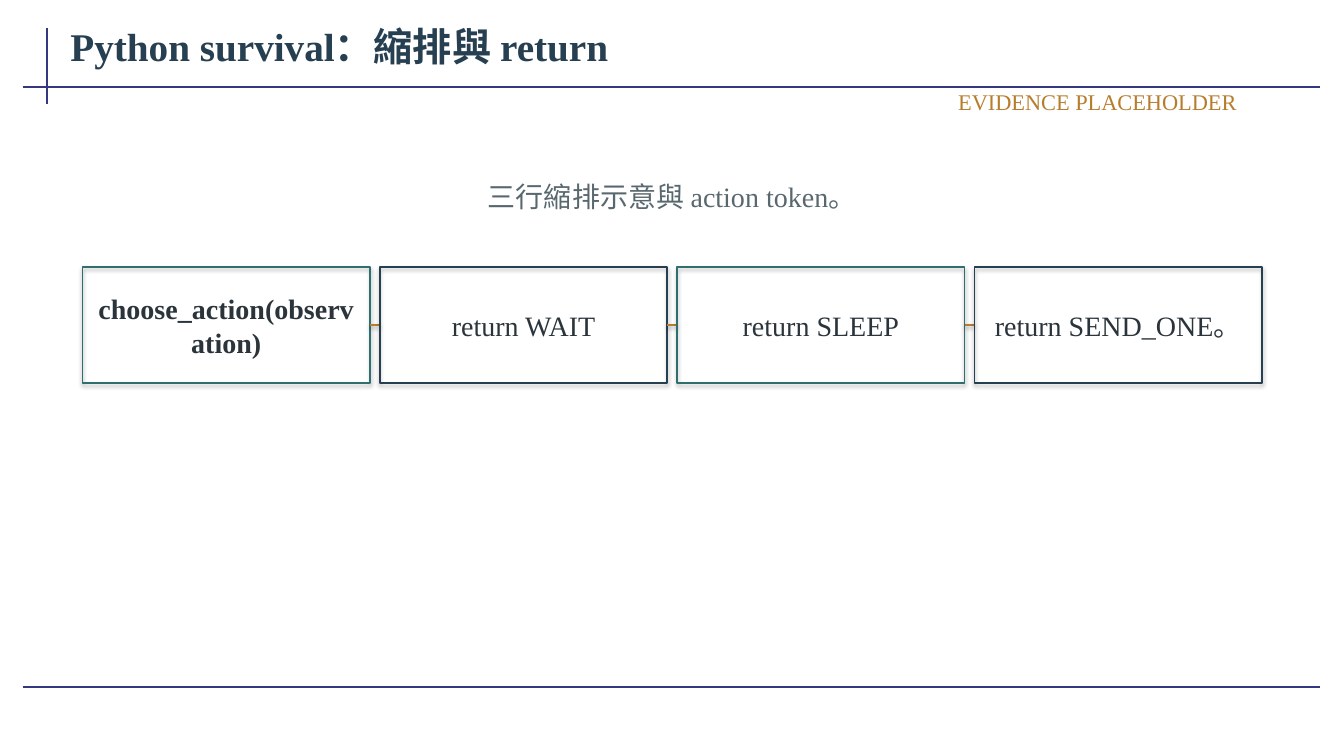
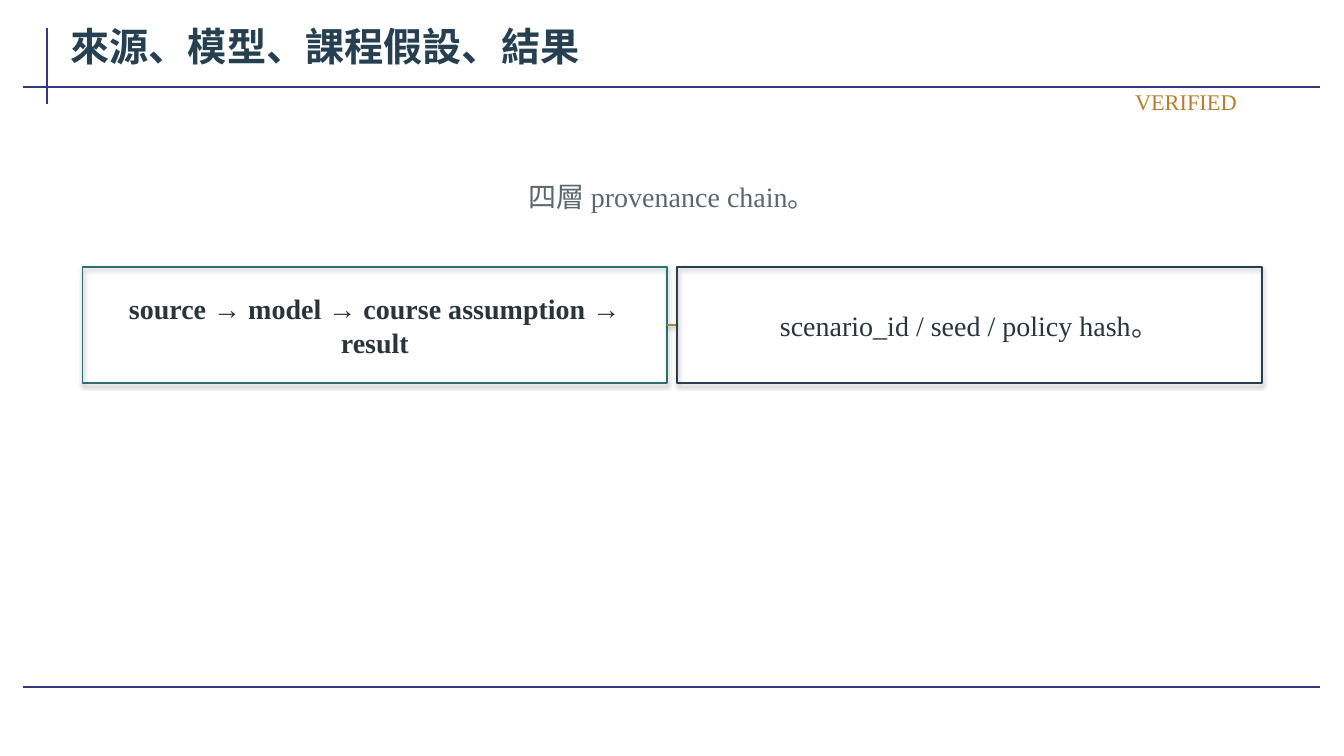
"""Build two course slides, each a titled chain of linked boxes."""
from pptx import Presentation
from pptx.dml.color import RGBColor
from pptx.enum.shapes import MSO_CONNECTOR, MSO_SHAPE
from pptx.enum.text import MSO_ANCHOR, MSO_AUTO_SIZE, PP_ALIGN
from pptx.oxml.ns import qn
from pptx.util import Pt

RULE, NAVY, TEAL, AMBER = "35377F", "263F51", "2F6F70", "B77D2D"
INK, SLATE = "2A343A", "59686F"
CHAIN_LEFT, CHAIN_TOP, CHAIN_WIDTH, BOX_HEIGHT, GAP = 59, 190.8, 842.4, 82.8, 7.2
RULES = [(33.8, 20.2, 33.8, 74.2), (16.6, 61.9, 943.2, 61.9), (16.6, 491, 943.2, 491)]
SLIDES = [
    ("Python survival：縮排與 return", "EVIDENCE PLACEHOLDER", "三行縮排示意與 action token。",
     ["choose_action(observation)", "return WAIT", "return SLEEP", "return SEND_ONE。"]),
    ("來源、模型、課程假設、結果", "VERIFIED", "四層 provenance chain。",
     ["source → model → course assumption → result", "scenario_id / seed / policy hash。"]),
]


def color(value):
    return RGBColor.from_string(value)


def write(shape, text, size=20, ink=INK, bold=False, align=PP_ALIGN.CENTER,
          fit=MSO_AUTO_SIZE.SHAPE_TO_FIT_TEXT):
    frame = shape.text_frame
    frame.word_wrap = True
    frame.auto_size = fit
    frame.vertical_anchor = MSO_ANCHOR.MIDDLE
    frame.margin_left = frame.margin_right = Pt(5.76)
    frame.margin_top = frame.margin_bottom = Pt(2.88)
    para = frame.paragraphs[0]
    para.alignment = align
    span = para.add_run()
    span.text = text
    span.font.name = "Times New Roman"
    span.font.size = Pt(size)
    span.font.bold = bold
    span.font.color.rgb = color(ink)


deck = Presentation()
deck.slide_width, deck.slide_height = Pt(960), Pt(540)
layout = deck.slide_layouts.get_by_name("Title Only")
pages = [deck.slides.add_slide(layout) for _ in SLIDES]

for ends in RULES:
    rule = pages[0].shapes.add_connector(MSO_CONNECTOR.STRAIGHT, *map(Pt, ends))
    rule.line.color.rgb = color(RULE)
    rule.line.width = Pt(1.5)
    rule.element.spPr.append(rule.element.makeelement(qn("a:effectLst"), {}))
    layout.element.cSld.spTree.append(rule.element)

for page, (heading, status, summary, steps) in zip(pages, SLIDES):
    title = page.shapes.title
    title.left, title.top, title.width, title.height = map(Pt, (44.6, 10.8, 899.3, 44.6))
    write(title, heading, size=28, ink=NAVY, bold=True, align=PP_ALIGN.LEFT,
          fit=MSO_AUTO_SIZE.NONE)

    pitch = (CHAIN_WIDTH + GAP) / len(steps)
    width = pitch - GAP
    middle = CHAIN_TOP + BOX_HEIGHT / 2
    for index, step in enumerate(steps):
        left = CHAIN_LEFT + index * pitch
        if index:
            link = page.shapes.add_connector(
                MSO_CONNECTOR.STRAIGHT, Pt(left - GAP), Pt(middle), Pt(left), Pt(middle))
            link.line.color.rgb = color(AMBER)
            link.line.width = Pt(1.2)
        box = page.shapes.add_shape(
            MSO_SHAPE.RECTANGLE, Pt(left), Pt(CHAIN_TOP), Pt(width), Pt(BOX_HEIGHT))
        box.fill.background()
        box.line.color.rgb = color(NAVY if index % 2 else TEAL)
        box.line.width = Pt(1.2)
        label = page.shapes.add_textbox(
            Pt(left + 3.6), Pt(CHAIN_TOP + 7.2), Pt(width - 7.2), Pt(BOX_HEIGHT - 14.4))
        write(label, step, bold=index == 0)

    caption = page.shapes.add_textbox(Pt(66.2), Pt(118.8), Pt(828), Pt(43.2))
    write(caption, summary, ink=SLATE)
    tag = page.shapes.add_textbox(Pt(658.8), Pt(61.9), Pt(230.4), Pt(21.6))
    write(tag, status, size=16, ink=AMBER, align=PP_ALIGN.RIGHT)

deck.save("out.pptx")
